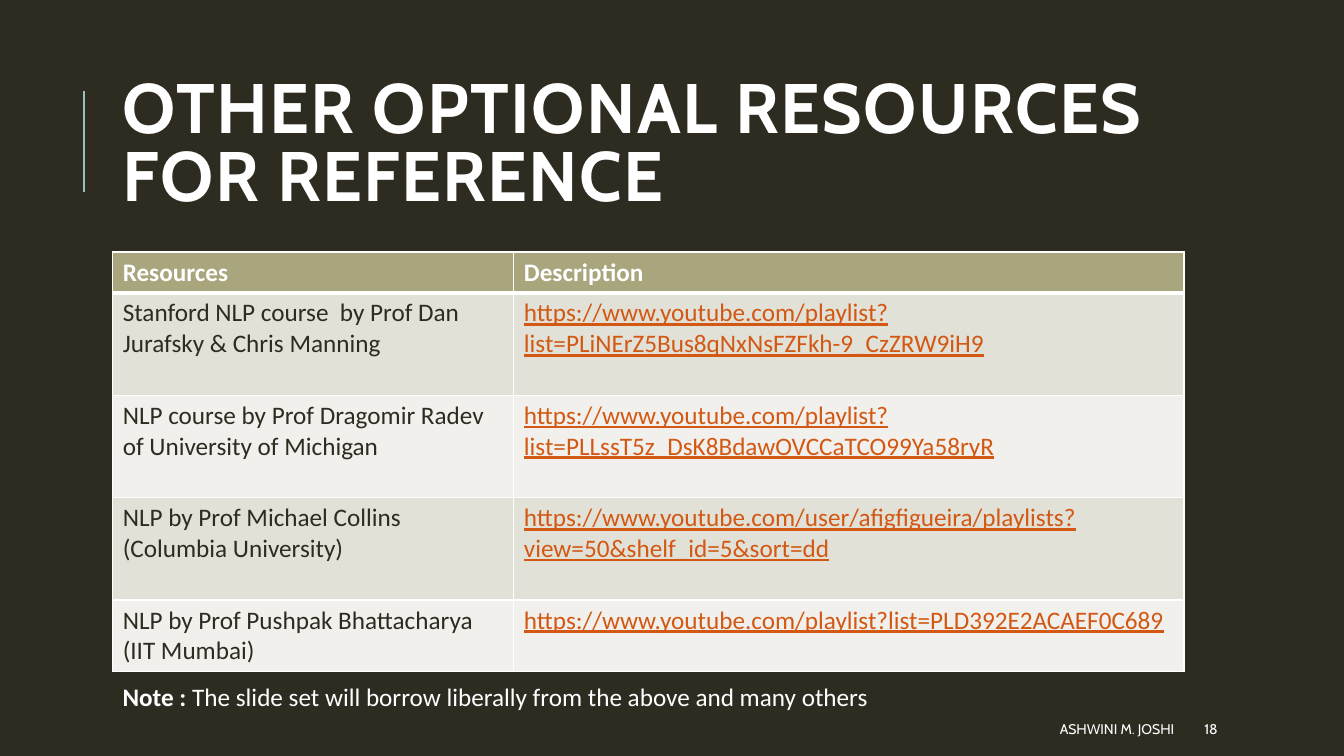
from dataclasses import dataclass

from lxml import etree
from pptx import Presentation
from pptx.dml.color import RGBColor
from pptx.enum.shapes import MSO_CONNECTOR
from pptx.enum.text import MSO_ANCHOR, MSO_AUTO_SIZE, PP_ALIGN
from pptx.oxml.ns import qn
from pptx.util import Cm, Pt

STRAIGHT = MSO_CONNECTOR.STRAIGHT
MIDDLE, TOP = MSO_ANCHOR.MIDDLE, MSO_ANCHOR.TOP
LEFT, RIGHT = PP_ALIGN.LEFT, PP_ALIGN.RIGHT
NO_FIT = MSO_AUTO_SIZE.NONE


@dataclass(frozen=True)
class Theme:
    dark: str = "2E2B21"
    white: str = "FFFFFF"
    accent: str = "9CBEBD"
    header: str = "A9A57C"
    bands: tuple = ("E2E1D7", "F1F0EC")
    link: str = "D25814"
    head_font: str = "Cabin"
    body_font: str = "Calibri"
    title_size: int = 50
    body_size: int = 18
    footer_size: int = 10


theme = Theme()


def style_run(r, font, size, color, bold=False, underline=False):
    r.font.name = font
    r.font.size = Pt(size)
    r.font.color.rgb = RGBColor.from_string(color)
    r.font.bold = bold
    r.font.underline = underline


def add_border(cell, side, width):
    tcPr = cell._tc.get_or_add_tcPr()
    ln = etree.SubElement(tcPr, qn(f"a:ln{side}"), w=str(Pt(width)))
    fill = etree.SubElement(ln, qn("a:solidFill"))
    etree.SubElement(fill, qn("a:srgbClr"), val=theme.white)


prs = Presentation()
prs.slide_width, prs.slide_height = Cm(33.87), Cm(19.05)
s = prs.slides.add_slide(prs.slide_layouts[5])
s.background.fill.solid()
s.background.fill.fore_color.rgb = RGBColor.from_string(theme.dark)

# Accent line beside the title
line = s.shapes.add_connector(STRAIGHT, Cm(2.12), Cm(4.83), Cm(2.12), Cm(2.29))
line.line.color.rgb = RGBColor.from_string(theme.accent)
line.line.width = Pt(1.5)
etree.SubElement(line._element.spPr, qn("a:effectLst"))

# Title
title = s.shapes.title
title.left, title.top, title.width, title.height = Cm(2.84), Cm(1.63), Cm(27), Cm(4.17)
tf = title.text_frame
tf.text = "OTHER OPTIONAL RESOURCES FOR REFERENCE"
tf.word_wrap = True
tf.auto_size = NO_FIT
tf.vertical_anchor = MIDDLE
p = tf.paragraphs[0]
p.alignment = LEFT
p.line_spacing = 0.8
r = p.runs[0]
style_run(r, theme.head_font, theme.title_size, theme.white, bold=True)
r.font._element.set("spc", "100")

# Table of resources
rows = [
    ("Resources", "Description"),
    ("Stanford NLP course  by Prof Dan Jurafsky & Chris Manning",
     "https://www.youtube.com/playlist?list=PLiNErZ5Bus8qNxNsFZFkh-9_CzZRW9iH9"),
    ("NLP course by Prof Dragomir Radev of University of Michigan",
     "https://www.youtube.com/playlist?list=PLLssT5z_DsK8BdawOVCCaTCO99Ya58ryR"),
    ("NLP by Prof Michael Collins (Columbia University)",
     "https://www.youtube.com/user/afigfigueira/playlists?view=50&shelf_id=5&sort=dd"),
    ("NLP by Prof Pushpak Bhattacharya (IIT Mumbai)",
     "https://www.youtube.com/playlist?list=PLD392E2ACAEF0C689"),
]
col_widths = (10.11, 16.89)
row_heights = (1.03, 2.58, 2.58, 2.58, 1.8)
table = s.shapes.add_table(len(rows), len(col_widths), Cm(2.84), Cm(6.35),
                           Cm(sum(col_widths)), Cm(sum(row_heights))).table
for column, width in zip(table.columns, col_widths):
    column.width = Cm(width)
for i, (row, height) in enumerate(zip(rows, row_heights)):
    table.rows[i].height = Cm(height)
    is_header = i == 0
    for j, text in enumerate(row):
        is_link = j == 1 and not is_header
        cell = table.cell(i, j)
        cell.text_frame.text = text
        cell.vertical_anchor = TOP
        color = theme.white if is_header else theme.link if is_link else theme.dark
        style_run(cell.text_frame.paragraphs[0].runs[0], theme.body_font,
                  theme.body_size, color, bold=is_header, underline=is_link)
        # The rule under the header row is thicker than the others
        for side, width in (("L", 1), ("R", 1), ("T", 3 if i == 1 else 1),
                            ("B", 3 if is_header else 1)):
            add_border(cell, side, width)
        cell.fill.solid()
        band = theme.header if is_header else theme.bands[(i - 1) % 2]
        cell.fill.fore_color.rgb = RGBColor.from_string(band)

# Footer: author and slide number
for text, left, width, align in (("ASHWINI M. JOSHI", 13.46, 16.38, RIGHT),
                                 ("18", 30.1, 2.69, LEFT)):
    tf = s.shapes.add_textbox(Cm(left), Cm(17.98), Cm(width), Cm(0.76)).text_frame
    tf.text = text
    tf.word_wrap = True
    tf.vertical_anchor = MIDDLE
    p = tf.paragraphs[0]
    p.alignment = align
    style_run(p.runs[0], theme.head_font, theme.footer_size, theme.white)

# Note below the table
tf = s.shapes.add_textbox(Cm(2.84), Cm(17.04), Cm(19.56), Cm(1.02)).text_frame
tf.word_wrap = False
p = tf.paragraphs[0]
for text, bold in (("Note : ", True),
                   ("The slide set will borrow liberally from the above and many others", False)):
    r = p.add_run()
    r.text = text
    style_run(r, theme.body_font, theme.body_size, theme.white, bold=bold)

prs.save("out.pptx")
